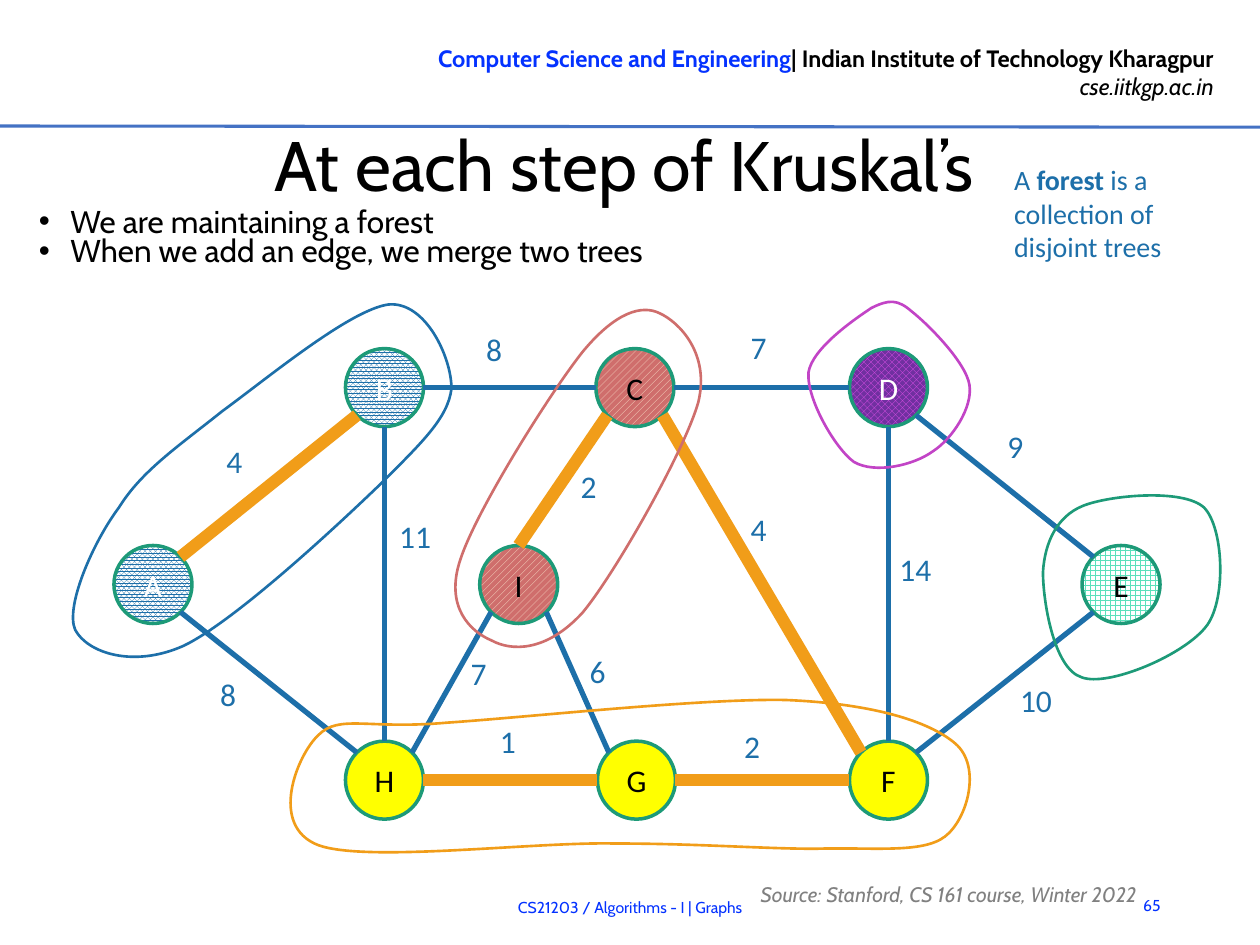
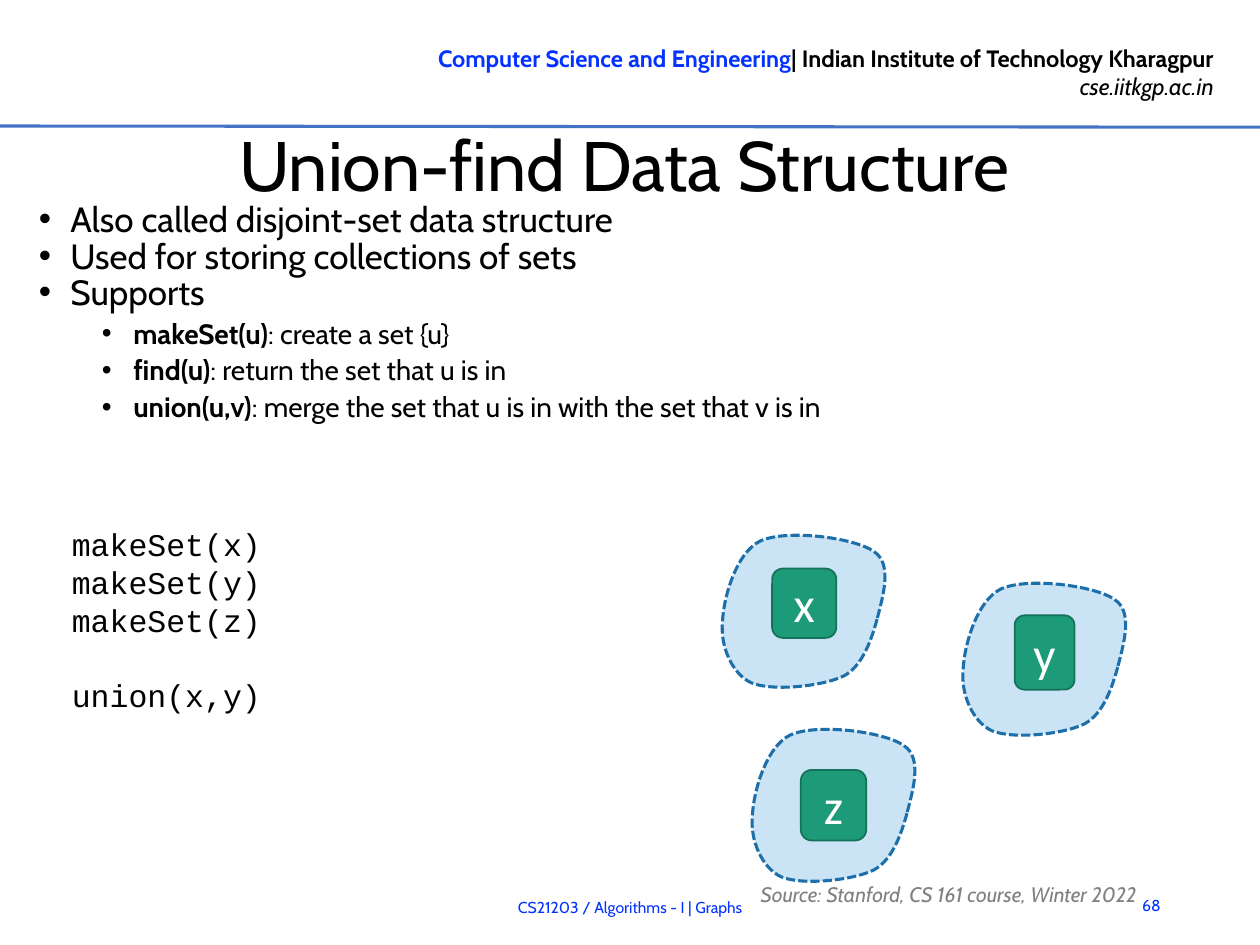
import math

import lxml.etree
import pptx
import pptx.dml.color
import pptx.enum.dml
import pptx.enum.shapes
import pptx.enum.text
import pptx.oxml.ns
import pptx.util

Pt = pptx.util.Pt
qn = pptx.oxml.ns.qn
ALIGN = pptx.enum.text.PP_ALIGN
ANCHOR = pptx.enum.text.MSO_ANCHOR
SHAPE = pptx.enum.shapes.MSO_SHAPE
PATTERN = pptx.enum.dml.MSO_PATTERN

COLORS = {
    "link": "0432FF", "rule": "4472C4", "black": "000000", "white": "FFFFFF",
    "grey": "808080", "blue": "1D6FA9", "green": "1D9A78", "deep_green": "157259",
    "orange": "F19D19", "red": "CF6E6C", "cream": "FCEBD1", "purple": "7030A0",
    "pink": "EA53F1", "magenta": "C244C6", "mint": "5AE0BB", "yellow": "FFFF00",
    "pale_blue": "CAE4F6",
}

NODE_SIZE = 44.6
ROW_TOP, ROW_MIDDLE, ROW_BOTTOM = 221.5, 334, 445.8
STRIPED = (PATTERN.WIDE_UPWARD_DIAGONAL, "cream", "red")
DOTTED = (PATTERN.PERCENT_80, "blue", "white")
NODES = {
    "D": (507.7, ROW_TOP, (PATTERN.LARGE_CHECKER_BOARD, "pink", "purple"), "white"),
    "C": (362.8, ROW_TOP, STRIPED, "black"),
    "B": (219.7, ROW_TOP, DOTTED, "white"),
    "A": (87.4, ROW_MIDDLE, DOTTED, "white"),
    "H": (219.7, ROW_BOTTOM, "yellow", "black"),
    "G": (363.7, ROW_BOTTOM, "yellow", "black"),
    "F": (507.7, ROW_BOTTOM, "yellow", "black"),
    "I": (296.4, ROW_MIDDLE, STRIPED, "black"),
    "E": (640.6, ROW_MIDDLE, (PATTERN.LARGE_GRID, "mint", "white"), "black"),
}
EDGES = [
    ("C", 5, "F", 1, True, "4", 421.9, 288),
    ("C", 6, "D", 2, False, "7", 421.9, 183.8),
    ("E", 1, "D", 5, False, "9", 568.6, 240.5),
    ("E", 3, "F", 7, False, "10", 575.8, 385.8),
    ("D", 4, "F", 0, False, "14", 506.8, 311),
    ("I", 5, "G", 1, False, "6", 329.8, 368.8),
    ("G", 6, "F", 2, True, "2", 418.2, 411.8),
    ("I", 0, "C", 3, True, "2", 324.7, 263.5),
    ("B", 6, "C", 2, False, "8", 270.7, 184.8),
    ("A", 7, "B", 3, True, "4", 122.3, 249),
    ("A", 5, "H", 1, False, "8", 118.7, 382.2),
    ("G", 2, "H", 6, True, "1", 278.6, 408.8),
    ("I", 3, "H", 7, False, "7", 261.9, 370),
    ("H", 0, "B", 4, False, "11", 221, 291.8),
]
TREES = [
    ("blue", [(68, 290), (81, 269), (102, 255), (127, 235), (153, 216), (200, 177),
              (222, 174), (243, 172), (258, 204), (258, 222), (256, 239), (241, 253),
              (216, 278), (191, 302), (134, 355), (105, 369), (76, 382), (50, 373),
              (43, 360), (37, 347), (53, 310)]),
    ("red", [(333, 201), (314, 225), (272, 292), (263, 320), (254, 347), (269, 361),
             (281, 366), (292, 372), (312, 373), (333, 350), (352, 327), (391, 258),
             (399, 230), (406, 202), (388, 184), (377, 179), (367, 174), (352, 178)]),
    ("orange", [(466, 485), (498, 484), (527, 488), (540, 478), (553, 468), (561, 438),
                (546, 425), (531, 412), (498, 402), (449, 400), (401, 399), (300, 410),
                (255, 413), (210, 417), (194, 408), (182, 420), (170, 431), (153, 472),
                (182, 483), (210, 493), (305, 481), (351, 482), (399, 482), (435, 485)]),
    ("magenta", [(498, 176), (489, 182), (464, 199), (462, 213), (461, 228), (477, 256),
                 (488, 264), (500, 271), (522, 266), (533, 258), (544, 251), (556, 233),
                 (554, 220), (552, 207), (530, 185), (521, 178), (513, 171), (508, 171)]),
    ("green", [(619, 289), (604, 295), (597, 310), (596, 327), (596, 343), (602, 382),
               (618, 387), (633, 393), (678, 374), (690, 357), (701, 341), (699, 301),
               (688, 290), (676, 279), (634, 283)]),
]
SET_OUTLINE = [(89, 47), (92, 35), (98, 16), (87, 9), (76, 1), (37, -4), (22, 3), (8, 10),
               (1, 36), (0.5, 49), (-1, 63), (6, 79), (17, 84), (29, 89), (58, 86), (70, 80),
               (81, 74), (86, 58)]
SETS = [
    ("x", (412.4, 306.2), (441.2, 324.9, 36.7, 39.6)),
    ("y", (549.9, 333.6), (579.8, 351.6, 34.2, 42.5)),
    ("z", (429.5, 417.1), (457.6, 440, 37.4, 40.3)),
]


def rgb(name):
    return pptx.dml.color.RGBColor.from_string(COLORS[name])


def style(paragraph, font, size, color, align=None, bold=None, italic=None):
    paragraph.alignment = align
    paragraph.font.name = font
    paragraph.font.size = Pt(size)
    paragraph.font.bold = bold
    paragraph.font.italic = italic
    paragraph.font.color.rgb = rgb(color)


def add_runs(paragraph, *parts):
    for text, bold in parts:
        run = paragraph.add_run()
        run.text = text
        if bold:
            run.font.bold = True


def add_text_box(slide, left, top, width, height, anchor=ANCHOR.TOP):
    frame = slide.shapes.add_textbox(Pt(left), Pt(top), Pt(width), Pt(height)).text_frame
    frame.word_wrap = True
    frame.vertical_anchor = anchor
    return frame


def add_label(slide, box, text, font, size, color, anchor=ANCHOR.TOP, **options):
    paragraph = add_text_box(slide, *box, anchor).paragraphs[0]
    paragraph.text = text
    style(paragraph, font, size, color, **options)
    return paragraph


def add_line(slide, start, end, color, width):
    line = slide.shapes.add_connector(
        pptx.enum.shapes.MSO_CONNECTOR.STRAIGHT, *(Pt(value) for value in start + end))
    line.line.color.rgb = rgb(color)
    line.line.width = Pt(width)
    lxml.etree.SubElement(line._element.spPr, qn("a:effectLst"))
    return line


def add_bullets(slide, items, size, sub_size=None, gap=0):
    frame = add_text_box(slide, 15.1, 116.2, 674.6, 167)
    for index, (level, *parts) in enumerate(items):
        paragraph = frame.paragraphs[0] if index == 0 else frame.add_paragraph()
        properties = paragraph._p.get_or_add_pPr()
        properties.set("marL", str(Pt(18 + 36 * level)))
        properties.set("indent", str(Pt(-18)))
        lxml.etree.SubElement(properties, qn("a:buFont"), typeface="Arial")
        lxml.etree.SubElement(properties, qn("a:buChar"), char="•")
        paragraph.level = level
        paragraph.line_spacing = Pt(17)
        paragraph.space_before = Pt(gap if index else 0)
        paragraph.space_after = Pt(gap)
        style(paragraph, "Cabin", sub_size if level else size, "black")
        add_runs(paragraph, *parts)


def add_closed_curve(slide, points, line_color, line_width, fill=None):
    closed = [(Pt(x), Pt(y)) for x, y in points + points[:1]]
    builder = slide.shapes.build_freeform(*closed[0], scale=1.0)
    builder.add_line_segments(closed[3::3], close=True)
    curve = builder.convert_to_shape()
    segments = list(curve._element.iter(qn("a:lnTo")))
    for index, segment in enumerate(segments):
        bend = lxml.etree.Element(qn("a:cubicBezTo"))
        for x, y in closed[3 * index + 1:3 * index + 4]:
            lxml.etree.SubElement(bend, qn("a:pt"), x=str(x - curve.left), y=str(y - curve.top))
        segment.getparent().replace(segment, bend)
    curve.shadow.inherit = False
    paint(curve, fill, line_color, line_width)
    return curve


def paint(shape, fill, line_color, line_width):
    if fill is None:
        shape.fill.background()
    elif isinstance(fill, str):
        shape.fill.solid()
        shape.fill.fore_color.rgb = rgb(fill)
    else:
        pattern, front, back = fill
        shape.fill.patterned()
        shape.fill.pattern = pattern
        shape.fill.fore_color.rgb = rgb(front)
        shape.fill.back_color.rgb = rgb(back)
    shape.line.color.rgb = rgb(line_color)
    shape.line.width = Pt(line_width)


def add_item(slide, preset, box, text, size, color, fill, line_color, line_width):
    item = slide.shapes.add_shape(preset, *(Pt(value) for value in box))
    item.shadow.inherit = False
    paint(item, fill, line_color, line_width)
    item.text_frame.vertical_anchor = ANCHOR.MIDDLE
    paragraph = item.text_frame.paragraphs[0]
    paragraph.text = text
    style(paragraph, "Calibri", size, color, ALIGN.CENTER)
    return item


def site_point(name, site):
    x, y = NODES[name][:2]
    angle = math.radians(90 + 45 * site)
    return (x + NODE_SIZE / 2 * math.cos(angle), y - NODE_SIZE / 2 * math.sin(angle))


def add_edge(slide, circles, start, start_site, end, end_site, in_tree):
    color, width = ("orange", 7) if in_tree else ("blue", 3)
    edge = add_line(slide, site_point(start, start_site), site_point(end, end_site),
                    color, width)
    joints = edge._element.find(".//" + qn("p:cNvCxnSpPr"))
    for tag, name, site in (("a:stCxn", start, start_site), ("a:endCxn", end, end_site)):
        lxml.etree.SubElement(joints, qn(tag), id=str(circles[name].shape_id), idx=str(site))


def add_header_to_layout(slide):
    before = len(slide.shapes)
    frame = add_text_box(slide, 190.8, 21.6, 509.8, 40.3)
    department, address = frame.paragraphs[0], frame.add_paragraph()
    add_runs(department, ("Computer Science and Engineering", False),
             ("| Indian Institute of Technology Kharagpur", False))
    style(department, "Cabin", 13.5, "black", ALIGN.RIGHT, bold=True)
    department.runs[0].font.color.rgb = rgb("link")
    address.text = "cse.iitkgp.ac.in"
    style(address, "Cabin", 13.5, "black", ALIGN.RIGHT, italic=True)
    add_line(slide, (0, 72), (720, 72.7), "rule", 1.75)
    for part in list(slide.shapes)[before:]:
        slide.slide_layout.shapes._spTree.append(part._element)


def start_slide(deck, title, number):
    slide = deck.slides.add_slide(deck.slide_layouts[5])
    heading = slide.shapes.title
    heading.left, heading.top, heading.width, heading.height = (
        Pt(value) for value in (23, 68.4, 666.7, 49))
    frame = heading.text_frame
    frame.auto_size = pptx.enum.text.MSO_AUTO_SIZE.NONE
    frame.vertical_anchor = ANCHOR.MIDDLE
    frame.margin_right = frame.margin_bottom = 0
    frame.margin_left = frame.margin_top = Pt(0.7)
    frame.text = title
    style(frame.paragraphs[0], "Cabin", 40, "black", ALIGN.CENTER)
    add_label(slide, (635, 502.6, 35.3, 28.8), number, "Cabin", 9, "link",
              ANCHOR.MIDDLE, align=ALIGN.RIGHT)
    add_label(slide, (118.8, 504, 482.4, 28.8), "CS21203 / Algorithms - I | Graphs",
              "Cabin", 9, "link", ANCHOR.MIDDLE, align=ALIGN.CENTER)
    source = add_label(slide, (427.5, 499, 289.4, 16.6),
                       "Source: Stanford, CS 161 course, Winter 2022",
                       "Cabin", 12, "grey", ANCHOR.MIDDLE, italic=True)
    source.line_spacing = Pt(21.3)
    return slide


def build_kruskal(slide):
    definition = add_text_box(slide, 572.4, 89.5, 135.4, 65.5).paragraphs[0]
    add_runs(definition, ("A ", False), ("forest", True),
             (" is a collection of disjoint trees", False))
    style(definition, "Calibri", 16, "blue")
    circles = {}
    for name, (x, y, fill, color) in NODES.items():
        box = (x - NODE_SIZE / 2, y - NODE_SIZE / 2, NODE_SIZE, NODE_SIZE)
        circles[name] = add_item(slide, SHAPE.OVAL, box, name, 18, color, fill, "green", 2)
    for *ends, weight, left, top in EDGES:
        add_edge(slide, circles, *ends)
        add_label(slide, (left, top, 62, 36), weight, "Calibri", 18, "blue")
    for color, points in TREES:
        add_closed_curve(slide, points, color, 1.5)
    add_bullets(slide, [(0, ("We are maintaining a forest", False)),
                        (0, ("When we add an edge, we merge two trees", False))], 18)


def build_union_find(slide):
    add_bullets(slide, [
        (0, ("Also called disjoint-set data structure", False)),
        (0, ("Used for storing collections of sets", False)),
        (0, ("Supports", False)),
        (1, ("makeSet(u)", True), (": create a set {u}", False)),
        (1, ("find(u)", True), (": return the set that u is in", False)),
        (1, ("union(u,v)", True),
         (": merge the set that u is in with the set that v is in", False)),
    ], 20, sub_size=16, gap=2)
    code = add_text_box(slide, 34, 296.6, 283, 159.8)
    for index, call in enumerate(("makeSet(x)", "makeSet(y)", "makeSet(z)", "union(x,y)")):
        paragraph = code.paragraphs[0] if index == 0 else code.add_paragraph()
        paragraph.text = call
        paragraph.line_spacing = Pt(21.6)
        style(paragraph, "Courier New", 18, "black")
    paragraph.space_before = Pt(21.3)
    for element, (left, top), box in SETS:
        outline = [(left + x, top + y) for x, y in SET_OUTLINE]
        blob = add_closed_curve(slide, outline, "blue", 1.75, "pale_blue")
        blob.line.dash_style = pptx.enum.dml.MSO_LINE.SQUARE_DOT
        add_item(slide, SHAPE.ROUNDED_RECTANGLE, box, element, 28, "white",
                 "green", "deep_green", 1)


def main():
    deck = pptx.Presentation()
    deck.slide_width, deck.slide_height = Pt(720), Pt(540)
    kruskal = start_slide(deck, "At each step of Kruskal’s", "65")
    add_header_to_layout(kruskal)
    build_kruskal(kruskal)
    build_union_find(start_slide(deck, "Union-find Data Structure", "68"))
    deck.save("out.pptx")


if __name__ == "__main__":
    main()
